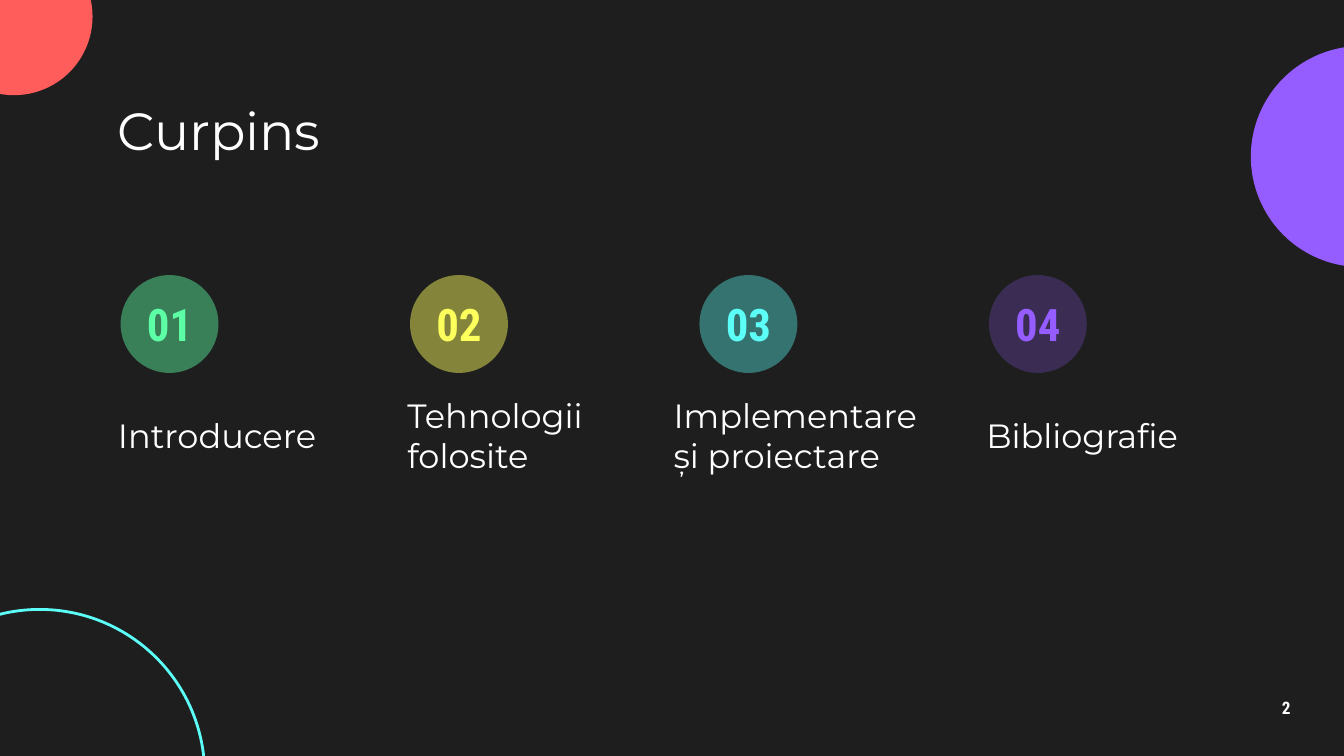
"""Build the dark agenda slide with four numbered topics."""
from lxml.etree import SubElement
from pptx import Presentation
from pptx.dml.color import RGBColor
from pptx.enum.shapes import MSO_SHAPE as Shape
from pptx.enum.text import MSO_ANCHOR as Anchor, MSO_AUTO_SIZE as AutoSize, PP_ALIGN as Align
from pptx.oxml.ns import qn
from pptx.util import Cm, Pt

TITLE = "Curpins"
PAGE_NUMBER = "2"
TOPICS = [
    {"label": "Introducere", "color": "5CFFA6", "opacity": 44, "inset": 0.3, "width": 5},
    {"label": "Tehnologii folosite", "color": "FDFF5C", "opacity": 46, "inset": 0.3, "width": 5},
    {"label": "Implementare și proiectare", "color": "5CFFF8", "opacity": 38, "inset": 0.74, "width": 5.66},
    {"label": "Bibliografie", "color": "955CFF", "opacity": 24, "inset": 0.3, "width": 5},
]
DECORATIONS = [
    {"left": 23.64, "top": 0.87, "size": 4.18, "fill": "955CFF"},
    {"left": -1.22, "top": -1.17, "size": 2.97, "fill": "FF5C5C"},
    {"left": -2.37, "top": 11.52, "size": 6.24, "line": "5CFFF8"},
]
BACKGROUND, WHITE = "1E1E1E", "FFFFFF"
FIRST_LEFT, PITCH = 2.28, 5.47
CIRCLE_TOP, CIRCLE_SIZE = 5.2, 1.85
NUMBER_TOP, NUMBER_HEIGHT = 5.49, 1.27
LABEL_TOP, LABEL_HEIGHT = 7.47, 1.52

BODY = {"size": Pt(18), "name": "Montserrat", "bold": False}
HEADING = {**BODY, "size": Pt(28)}
NUMBER = {"size": Pt(24), "name": "Roboto Condensed", "bold": True}
PAGE = {**NUMBER, "size": Pt(9.2)}


def paint(color_format, color):
    color_format.rgb = RGBColor.from_string(color)


def add_circle(slide, left, top, size, fill=None, line=None, opacity=100):
    circle = slide.shapes.add_shape(Shape.OVAL, Cm(left), Cm(top), Cm(size), Cm(size))
    circle.shadow.inherit = False
    if fill:
        circle.fill.solid()
        paint(circle.fill.fore_color, fill)
        if opacity < 100:
            color_element = circle.fill._xPr.find(f".//{qn('a:srgbClr')}")
            SubElement(color_element, qn("a:alpha"), val=str(opacity * 1000))
    else:
        circle.fill.background()
    if line:
        paint(circle.line.color, line)
        circle.line.width = Pt(1.5)
    else:
        circle.line.fill.background()


def write_text(shape, text, font_format, color=WHITE, align=Align.LEFT):
    frame = shape.text_frame
    frame.text = text
    margins = {f"margin_{side}": Cm(0.25) for side in ("left", "top", "right", "bottom")}
    settings = {"word_wrap": True, "auto_size": AutoSize.NONE, "vertical_anchor": Anchor.MIDDLE, **margins}
    for name, value in settings.items():
        setattr(frame, name, value)
    paragraph = frame.paragraphs[0]
    paragraph.alignment = align
    font = paragraph.runs[0].font
    for name, value in font_format.items():
        setattr(font, name, value)
    paint(font.color, color)


def add_text(slide, box, *text_settings):
    shape = slide.shapes.add_textbox(*map(Cm, box))
    write_text(shape, *text_settings)


def main():
    presentation = Presentation()
    presentation.slide_width, presentation.slide_height = Cm(25.4), Cm(14.29)
    slide = presentation.slides.add_slide(presentation.slide_layouts[5])
    slide.background.fill.solid()
    paint(slide.background.fill.fore_color, BACKGROUND)

    for decoration in DECORATIONS:
        add_circle(slide, **decoration)

    title = slide.shapes.title
    title.left, title.top, title.width, title.height = map(Cm, (1.98, 1.8, 21.44, 1.3))
    write_text(title, TITLE, HEADING)

    for index, topic in enumerate(TOPICS):
        left = FIRST_LEFT + index * PITCH
        color = topic["color"]
        add_circle(slide, left, CIRCLE_TOP, CIRCLE_SIZE, fill=color, opacity=topic["opacity"])
        number_box = (left, NUMBER_TOP, CIRCLE_SIZE, NUMBER_HEIGHT)
        add_text(slide, number_box, f"{index + 1:02}", NUMBER, color, Align.CENTER)
        label_box = (left - topic["inset"], LABEL_TOP, topic["width"], LABEL_HEIGHT)
        add_text(slide, label_box, topic["label"], BODY)

    add_text(slide, (23.55, 12.95, 1.52, 0.86), PAGE_NUMBER, PAGE, WHITE, Align.CENTER)
    presentation.save("out.pptx")


if __name__ == "__main__":
    main()
